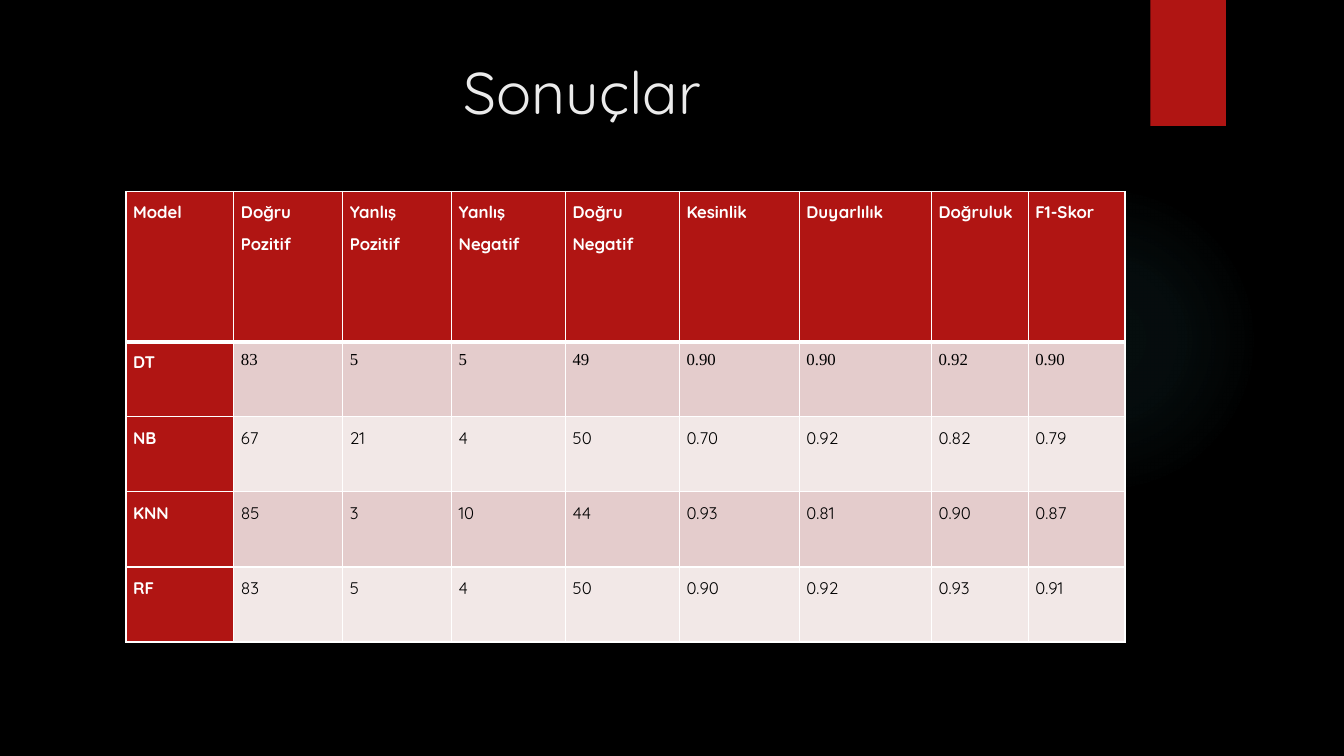
from pptx import Presentation
from pptx.dml.color import RGBColor
from pptx.enum.shapes import MSO_SHAPE as SHAPE
from pptx.enum.text import MSO_ANCHOR as ANCHOR, PP_ALIGN as ALIGN
from pptx.oxml import parse_xml
from pptx.oxml.ns import nsdecls
from pptx.util import Inches, Pt

# Content
TITLE = "Sonuçlar "
HEADER = ["Model", "Doğru Pozitif", "Yanlış Pozitif", "Yanlış Negatif",
          "Doğru Negatif", "Kesinlik", "Duyarlılık", "Doğruluk", "F1-Skor"]
RESULTS = [
    ["DT", "83", "5", "5", "49", "0.90", "0.90", "0.92", "0.90"],
    ["NB", "67", "21", "4", "50", "0.70", "0.92", "0.82", "0.79"],
    ["KNN", "85", "3", "10", "44", "0.93", "0.81", "0.90", "0.87"],
    ["RF", "83", "5", "4", "50", "0.90", "0.92", "0.93", "0.91"],
]

# Layout in inches, and style
COLS = [1.07, 1.08, 1.08, 1.13, 1.13, 1.19, 1.31, 0.96, 0.96]
ROW = 0.745
ROWS = [2 * ROW] + [ROW] * len(RESULTS)
RED, WHITE, BLACK, TEAL = "B01513", "FFFFFF", "000000", "50B9C1"
BANDS = ["E4CCCC", "F2E8E7"]
GLOW_STOPS = [(0, 7), (36, 6), (69, 0)]  # position %, opacity %


def rgb(color):
    return RGBColor.from_string(color)


def write(tf, text, size=12, color=BLACK, font="Quicksand", bold=False,
          align=ALIGN.JUSTIFY, spacing=1.5):
    tf.word_wrap = True
    p = tf.paragraphs[0]
    p.alignment, p.line_spacing = align, spacing
    r = p.add_run()
    r.text = text
    r.font.size, r.font.name, r.font.bold = Pt(size), font, bold
    r.font.color.rgb = rgb(color)


def add_plain_shape(kind, *box):
    sp = slide.shapes.add_shape(kind, *map(Inches, box))
    sp.shadow.inherit = False
    sp.line.fill.background()
    return sp


def set_borders(cell, **widths):
    tcPr = cell._tc.get_or_add_tcPr()
    for side in "LRTB":
        tcPr.append(parse_xml(
            f'<a:ln{side} {nsdecls("a")} w="{Pt(widths.get(side, 1))}"><a:solidFill>'
            f'<a:srgbClr val="{WHITE}"/></a:solidFill></a:ln{side}>'))


prs = Presentation()
prs.slide_width, prs.slide_height = Inches(13.33), Inches(7.5)
slide = prs.slides.add_slide(prs.slide_layouts[6])
slide.background.fill.solid()
slide.background.fill.fore_color.rgb = rgb(BLACK)

# Faint round glow
glow = add_plain_shape(SHAPE.OVAL, 9.41, 1.83, 3.08, 3.08)
glow.fill.background()
stops = "".join(
    f'<a:gs pos="{pos * 1000}"><a:srgbClr val="{TEAL}">'
    f'<a:alpha val="{alpha * 1000}"/></a:srgbClr></a:gs>'
    for pos, alpha in GLOW_STOPS)
spPr = glow._element.spPr
spPr.replace(spPr.find("{*}noFill"), parse_xml(
    f'<a:gradFill {nsdecls("a")}><a:gsLst>{stops}</a:gsLst><a:path path="circle">'
    '<a:fillToRect l="50000" t="50000" r="50000" b="50000"/></a:path></a:gradFill>'))

# Red tab
tab = add_plain_shape(SHAPE.RECTANGLE, 11.41, 0, 0.75, 1.25)
tab.fill.solid()
tab.fill.fore_color.rgb = rgb(RED)

# Title
title = slide.shapes.add_textbox(*map(Inches, (0.71, 0.5, 10.29, 1.53)))
title.text_frame.vertical_anchor = ANCHOR.TOP
write(title.text_frame, TITLE, size=42, color="EBEBEB", align=ALIGN.CENTER, spacing=1)

# Results table
table = slide.shapes.add_table(
    len(ROWS), len(COLS), *map(Inches, (1.25, 1.9, sum(COLS), sum(ROWS)))).table
for column, width in zip(table.columns, COLS):
    column.width = Inches(width)
for row, height in zip(table.rows, ROWS):
    row.height = Inches(height)

for i, values in enumerate([HEADER] + RESULTS):
    for j, value in enumerate(values):
        cell = table.cell(i, j)
        heading = i == 0 or j == 0
        cell.margin_left = cell.margin_right = Inches(0.07)
        cell.margin_top = cell.margin_bottom = 0
        set_borders(cell, T=3 if i == 1 else 1, B=3 if i == 0 else 1)
        cell.fill.solid()
        cell.fill.fore_color.rgb = rgb(RED if heading else BANDS[(i - 1) % 2])
        write(cell.text_frame, value, bold=heading, color=WHITE if heading else BLACK,
              font="Times New Roman" if i == 1 and not heading else "Quicksand")

prs.save("out.pptx")
